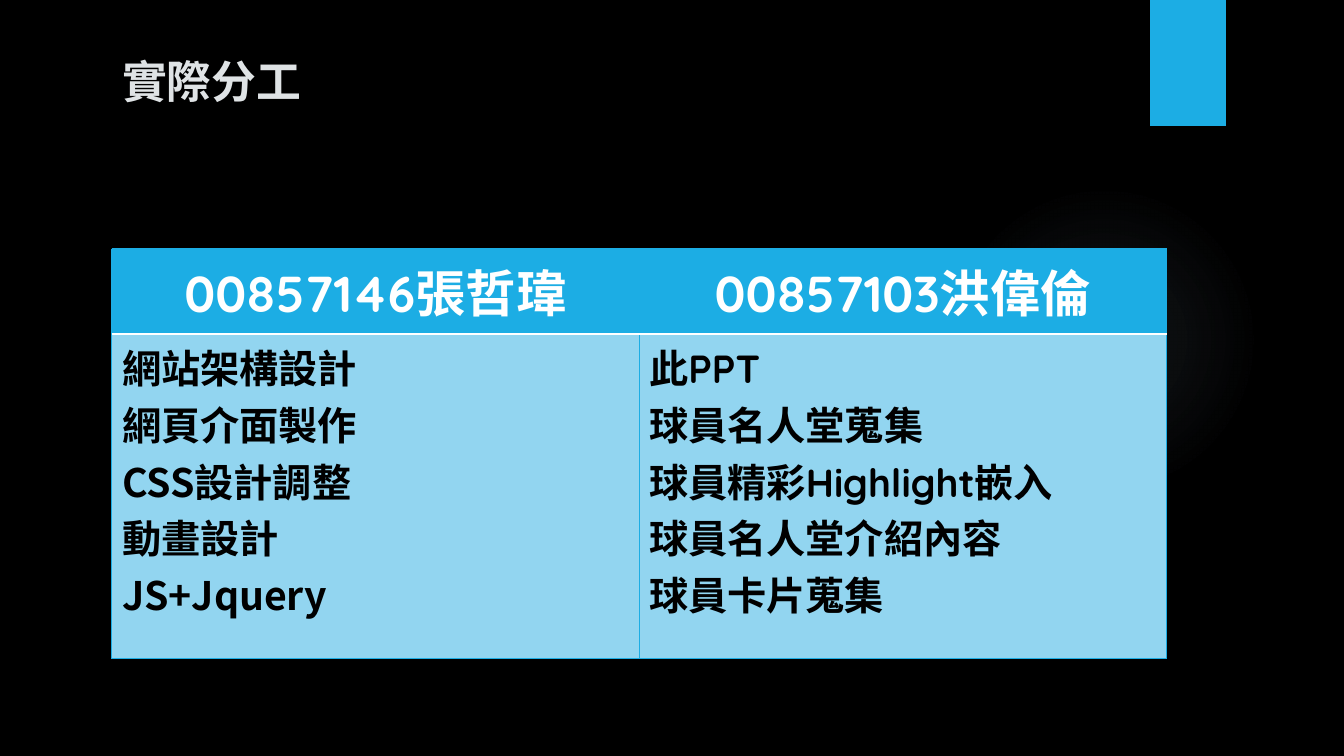
from dataclasses import dataclass

from lxml import etree
from pptx import Presentation, util as u
from pptx.dml.color import RGBColor
from pptx.enum import shapes, text
from pptx.oxml import ns, parse_xml


@dataclass(frozen=True)
class Theme:
    back: str = "000000"
    accent: str = "1CADE4"
    pale: str = "92D5F0"
    glow: str = "A0C1D5"
    title: str = "DFE3E5"
    white: str = "FFFFFF"
    black: str = "000000"
    latin: str = "Quicksand"
    asian: str = "Noto Sans CJK JP"
    title_size: int = 40
    head_size: int = 36
    body_size: int = 28
    thin: float = 0.75
    thick: float = 1.5


def add_xml(parent, markup):
    for node in list(parse_xml(f'<root {ns.nsdecls("a")}>{markup}</root>')):
        parent.append(node)


class Page:
    """A slide whose lengths are given on a grid of 100 columns by 100 rows."""

    def __init__(self, deck, theme):
        self.theme = theme
        self.column, self.row = deck.slide_width / 100, deck.slide_height / 100
        self.slide = deck.slides.add_slide(deck.slide_layouts[5])
        back = self.slide.background.fill
        back.solid()
        back.fore_color.rgb = RGBColor.from_string(theme.back)

    def place(self, left, top, width, height):
        return [round(left * self.column), round(top * self.row),
                round(width * self.column), round(height * self.row)]

    def add_span(self, para, words, color, font=None, **formats):
        span = para.add_run()
        span.text = words
        span.font.color.rgb = RGBColor.from_string(color)
        for name, value in {"name": font or self.theme.latin, "bold": True, **formats}.items():
            setattr(span.font, name, value)
        east = etree.SubElement(span.font._element, ns.qn("a:ea"))
        east.set("typeface", self.theme.asian)
        return span

    def shape(self, kind, at):
        box = self.slide.shapes.add_shape(kind, *self.place(*at))
        box.line.fill.background()
        box.shadow.inherit = False
        return box

    def glow(self, at, stops):
        """Draw a soft circle; stops are pairs of position and opacity in percent."""
        box = self.shape(shapes.MSO_SHAPE.OVAL, at)
        box.fill.gradient()
        gradient = box._element.spPr.find(ns.qn("a:gradFill"))
        for child in list(gradient):
            gradient.remove(child)
        marks = "".join(
            f'<a:gs pos="{pos * 1000}"><a:srgbClr val="{self.theme.glow}">'
            f'<a:alpha val="{alpha * 1000}"/></a:srgbClr></a:gs>' for pos, alpha in stops)
        add_xml(gradient, f'<a:gsLst>{marks}</a:gsLst><a:path path="circle">'
                '<a:fillToRect l="50000" t="50000" r="50000" b="50000"/></a:path>')

    def ribbon(self, at):
        box = self.shape(shapes.MSO_SHAPE.RECTANGLE, at)
        box.fill.solid()
        box.fill.fore_color.rgb = RGBColor.from_string(self.theme.accent)
        effects = box._element.spPr.find(ns.qn("a:effectLst"))
        add_xml(effects, f'<a:outerShdw blurRad="{u.Pt(3)}" dist="{u.Pt(2)}" dir="5400000">'
                f'<a:srgbClr val="{self.theme.black}"><a:alpha val="45000"/></a:srgbClr>'
                '</a:outerShdw>')

    def title(self, words, at):
        box = self.slide.shapes.title
        for name, value in zip(("left", "top", "width", "height"), self.place(*at)):
            setattr(box, name, value)
        frame = box.text_frame
        formats = {"word_wrap": True, "auto_size": text.MSO_AUTO_SIZE.NONE,
                   "vertical_anchor": text.MSO_ANCHOR.BOTTOM}
        for name, value in formats.items():
            setattr(frame, name, value)
        para = frame.paragraphs[0]
        para.alignment = text.PP_ALIGN.LEFT
        span = self.add_span(para, words, self.theme.title, size=u.Pt(self.theme.title_size))
        span.font._element.set("cap", "small")

    def cell(self, cell, lines, fill, edges, align, **style):
        for side, (color, width) in edges.items():
            add_xml(cell._tc.get_or_add_tcPr(),
                    f'<a:ln{side} w="{u.Pt(width)}"><a:solidFill><a:srgbClr val="{color}"/>'
                    f'</a:solidFill></a:ln{side}>')
        cell.fill.solid()
        cell.fill.fore_color.rgb = RGBColor.from_string(fill)
        frame = cell.text_frame
        for index, line in enumerate(lines):
            para = frame.add_paragraph() if index else frame.paragraphs[0]
            para.alignment = align
            self.add_span(para, line, **style)

    def table(self, members, at, heights):
        """Draw one column per member: (heading, tasks, font of the tasks)."""
        theme = self.theme
        grid = self.slide.shapes.add_table(2, len(members), *self.place(*at)).table
        for row, height in zip(grid.rows, heights):
            row.height = round(height * self.row)
        edges = dict.fromkeys("LRTB", (theme.accent, theme.thin))
        divider = (theme.white, theme.thick)
        for index, (heading, tasks, font) in enumerate(members):
            self.cell(grid.cell(0, index), [heading], theme.accent, {**edges, "B": divider},
                      text.PP_ALIGN.CENTER, color=theme.white, size=u.Pt(theme.head_size))
            self.cell(grid.cell(1, index), tasks, theme.pale, {**edges, "T": divider},
                      text.PP_ALIGN.LEFT, color=theme.black, font=font,
                      size=u.Pt(theme.body_size))


def main():
    theme = Theme()
    members = [
        ("00857146張哲瑋",
         ["網站架構設計", "網頁介面製作", "CSS設計調整", "動畫設計", "JS+Jquery"], theme.asian),
        ("00857103洪偉倫",
         ["此PPT", "球員名人堂蒐集", "球員精彩Highlight嵌入", "球員名人堂介紹內容",
          "球員卡片蒐集"], theme.latin),
    ]
    deck = Presentation()
    deck.slide_width, deck.slide_height = u.Inches(13.33), u.Inches(7.5)
    page = Page(deck, theme)
    page.glow((70.58, 24.4, 23.1, 41.07), [(0, 7), (36, 6), (69, 0)])
    page.ribbon((85.58, 0, 5.63, 16.67))
    page.title("實際分工", (8.33, 3.87, 50.63, 11.33))
    page.table(members, (8.33, 32.93, 78.46, 54.13), (11.2, 42.93))
    deck.save("out.pptx")


if __name__ == "__main__":
    main()
